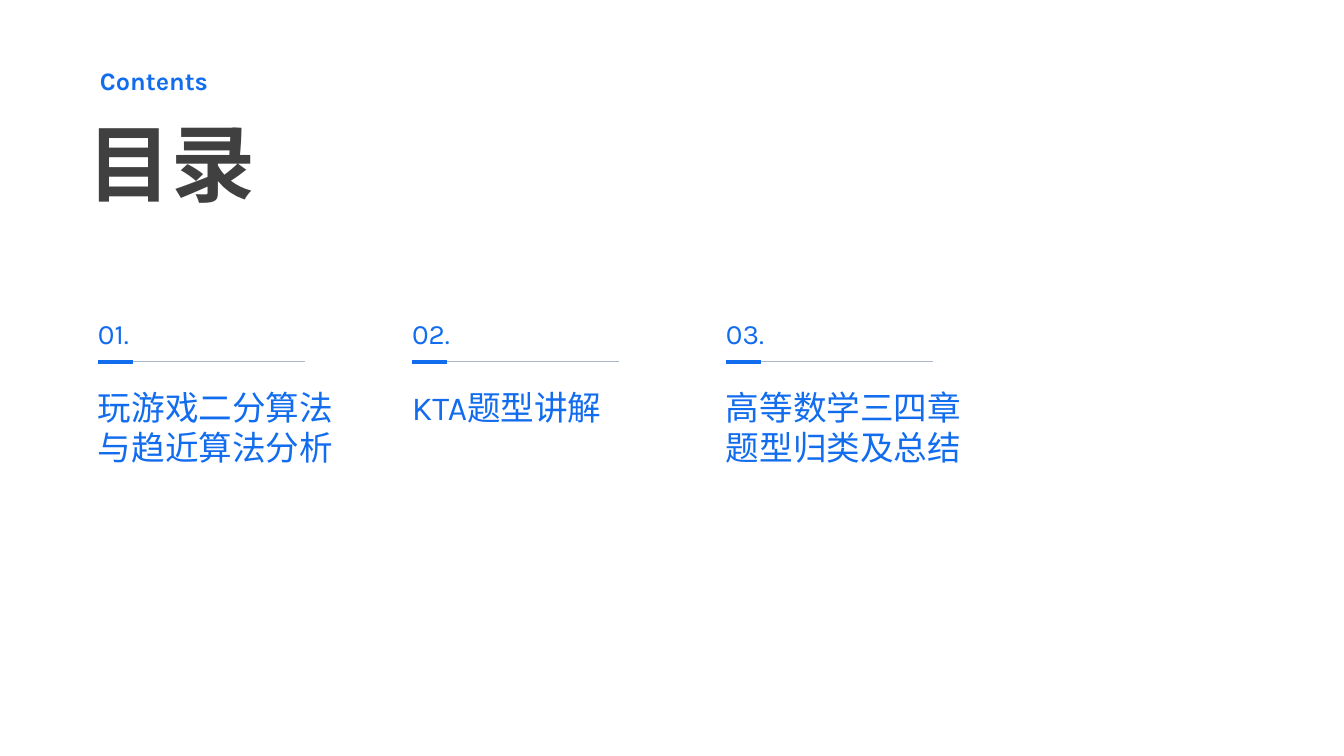
from lxml.etree import SubElement
from pptx import Presentation
from pptx.dml.color import RGBColor
from pptx.enum.shapes import MSO_CONNECTOR
from pptx.enum.text import MSO_ANCHOR
from pptx.oxml.ns import qn
from pptx.util import Emu, Pt

BLUE = RGBColor(0x11, 0x6C, 0xEE)
DARK = RGBColor(0x40, 0x40, 0x40)
GREY = RGBColor(0xAA, 0xB6, 0xC9)
FONT = "Karla"
TOPICS = ["玩游戏二分算法与趋近算法分析", "KTA题型讲解", "高等数学三四章题型归类及总结"]
TOPICS_LEFT, TOPICS_TOP, TOPIC_PITCH = 98, 296, 314


def px(n):
    return Emu(round(n * 914400 / 100.8))


def add_text(s, text, x, y, w, h, size, color=BLUE, bold=False,
             anchor=MSO_ANCHOR.BOTTOM, inset=0):
    tf = s.shapes.add_textbox(px(x), px(y), px(w), px(h)).text_frame
    tf.word_wrap = True
    tf.vertical_anchor = anchor
    tf.margin_left = px(inset)
    tf.margin_right = tf.margin_top = tf.margin_bottom = 0
    p = tf.paragraphs[0]
    p.text = text
    p.font.name = FONT
    p.font.size = Pt(size)
    p.font.bold = bold
    p.font.color.rgb = color


def add_rule(s, x, y, w, color, weight):
    """Draw a horizontal line without a shadow."""
    line = s.shapes.add_connector(MSO_CONNECTOR.STRAIGHT, px(x), px(y), px(x + w), px(y))
    line.line.color.rgb = color
    line.line.width = Pt(weight)
    SubElement(line._element.spPr, qn("a:effectLst"))


def add_heading(s, x, y, w):
    add_text(s, "Contents", x, y, w, 39, 18, bold=True, inset=12)
    add_text(s, "目录", x, y + 38, w, 117, 60, DARK, bold=True)


def add_topic(s, number, topic, x, y):
    add_rule(s, x, y + 66, 207, GREY, 0.75)
    add_rule(s, x, y + 66, 35, BLUE, 2.25)
    add_text(s, f"{number:02}.", x, y, 101, 54, 20)
    add_text(s, topic, x, y + 91, 260, 206, 24, anchor=MSO_ANCHOR.TOP)


def add_contents_slide(prs):
    s = prs.slides.add_slide(prs.slide_layouts[6])
    add_heading(s, 88, 57, 206)
    for i, topic in enumerate(TOPICS):
        add_topic(s, i + 1, topic, TOPICS_LEFT + i * TOPIC_PITCH, TOPICS_TOP)


def main():
    prs = Presentation()
    prs.slide_width, prs.slide_height = px(1344), px(756)
    add_contents_slide(prs)
    prs.save("out.pptx")


if __name__ == "__main__":
    main()
